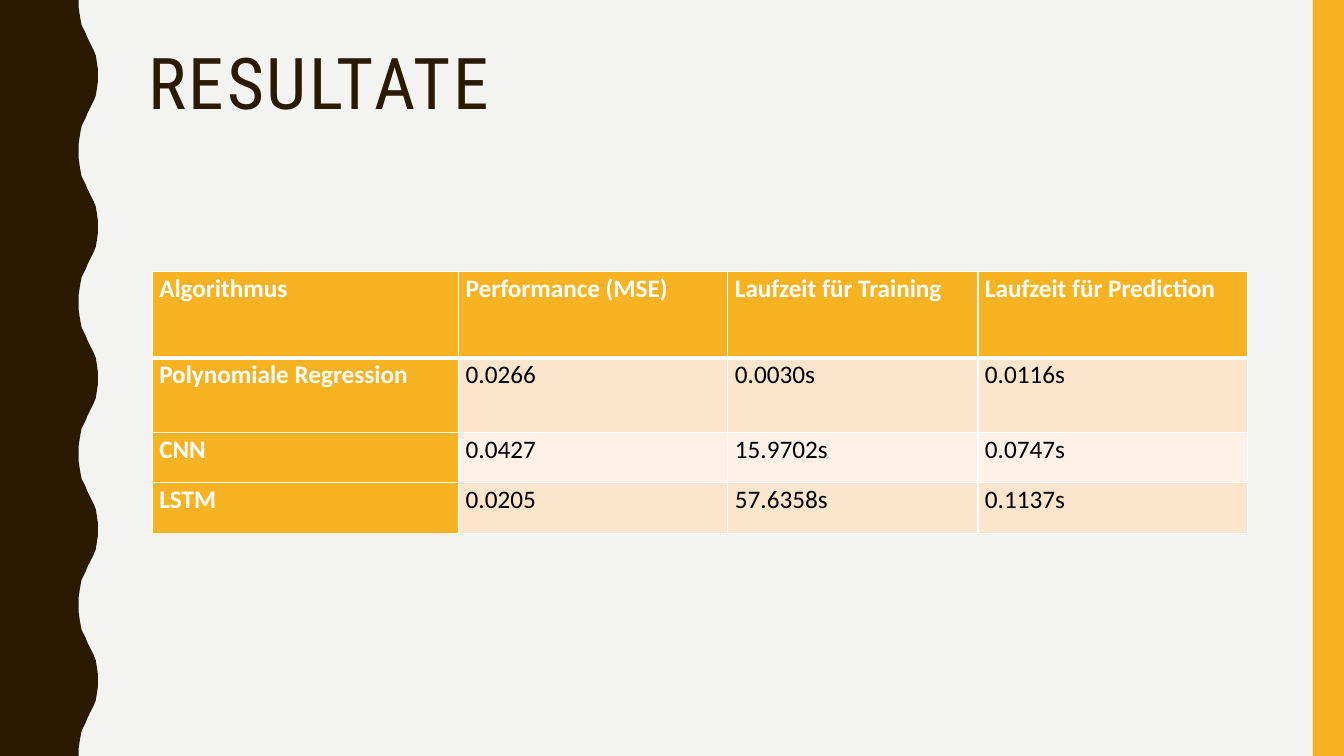
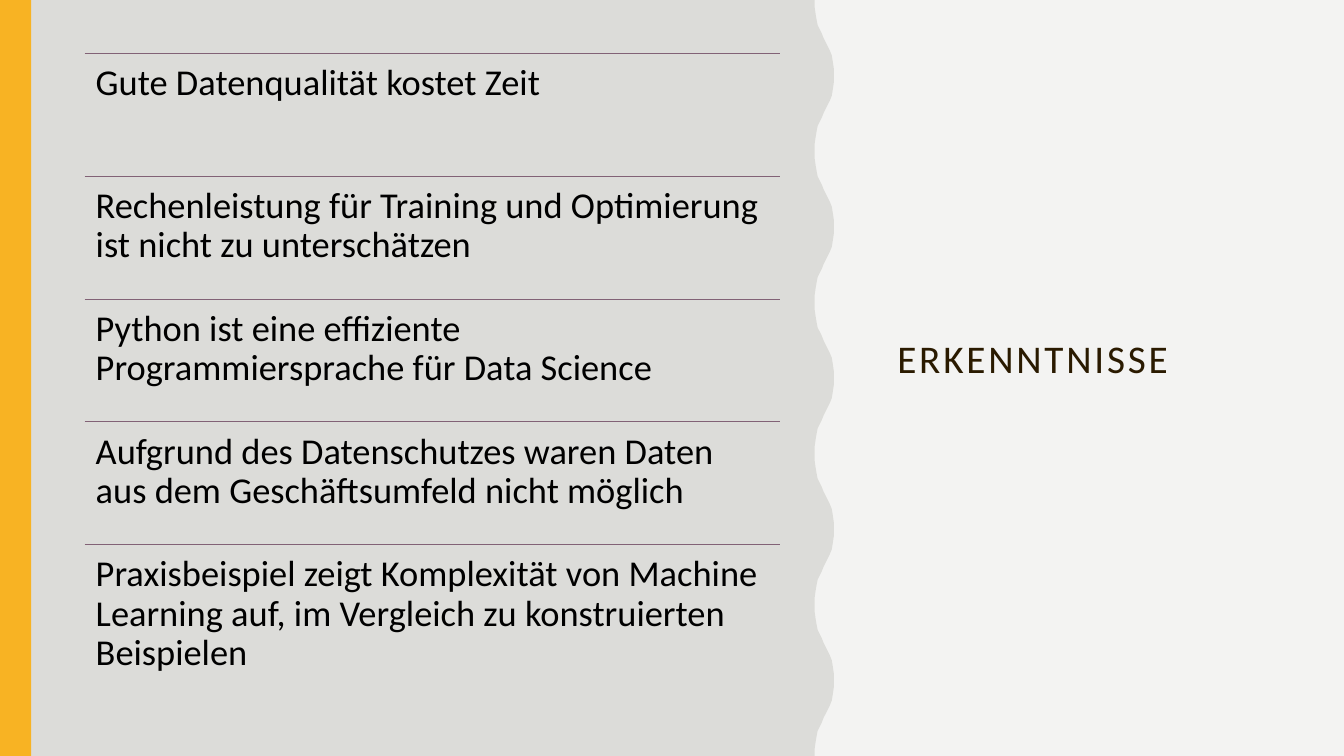
from dataclasses import dataclass

from lxml.etree import SubElement
from pptx import Presentation
from pptx.dml.color import RGBColor
from pptx.enum.shapes import MSO_CONNECTOR, MSO_SHAPE
from pptx.enum.text import MSO_ANCHOR, MSO_AUTO_SIZE, PP_ALIGN
from pptx.oxml.ns import qn
from pptx.slide import Slide
from pptx.table import _Cell
from pptx.text.text import TextFrame
from pptx.util import Inches, Pt

SLIDE_WIDTH, SLIDE_HEIGHT = 13.33, 7.5
BAND_WIDTH = 0.31
BACKGROUND, DARK, ACCENT, PANEL = "F3F3F2", "2A1A00", "F8B323", "DCDCD9"
RULE, WHITE, BLACK = "826276", "FFFFFF", "000000"
ROW_TINTS = ("FCE5CD", "FEF2E8")
BODY_FONT, TITLE_FONT = "Calibri", "Roboto Condensed"

WAVE_PERIOD = 1.5
WAVE_RISE = (
    (0, 0), (0, 0.07), (0.01, 0.14), (0.02, 0.2), (0.03, 0.25),
    (0.05, 0.29), (0.07, 0.33), (0.09, 0.38), (0.11, 0.42), (0.13, 0.46),
    (0.15, 0.5), (0.17, 0.55), (0.18, 0.61), (0.19, 0.68), (0.19, 0.75),
)
WAVE_FALL = tuple((x, WAVE_PERIOD - y) for x, y in reversed(WAVE_RISE[:-1]))


@dataclass(frozen=True)
class Box:
    left: float
    top: float
    width: float
    height: float

    def lengths(self) -> tuple:
        return tuple(Inches(value) for value in (self.left, self.top, self.width, self.height))


@dataclass(frozen=True)
class SlideStyle:
    title: str
    title_box: Box
    title_size: float
    title_font: str
    title_anchor: MSO_ANCHOR
    wave_left: float
    wave_color: str
    band_left: float


RESULTS = SlideStyle("RESULTATE", Box(1.37, 0.42, 11.13, 1.63), 51, TITLE_FONT,
                     MSO_ANCHOR.TOP, 0.78, DARK, SLIDE_WIDTH - BAND_WIDTH)
FINDINGS = SlideStyle("ERKENNTNISSE", Box(8.8, 0.53, 4, 6.09), 28, BODY_FONT,
                      MSO_ANCHOR.MIDDLE, 8.08, PANEL, 0)

TABLE_BOX = Box(1.51, 2.69, 10.86, 2.6)
COLUMN_WIDTHS = (3.04, 2.67, 2.48, 2.67)
ROW_HEIGHTS = (0.86, 0.74, 0.5, 0.5)
TABLE_ROWS = (
    ("Algorithmus", "Performance (MSE)", "Laufzeit für Training", "Laufzeit für Prediction"),
    ("Polynomiale Regression", "0.0266", "0.0030s", "0.0116s"),
    ("CNN", "0.0427", "15.9702s", "0.0747s"),
    ("LSTM", "0.0205", "57.6358s", "0.1137s"),
)

LIST_BOX = Box(0.84, 0.53, 6.9, 6.09)
FINDING_TEXTS = (
    "Gute Datenqualität kostet Zeit",
    "Rechenleistung für Training und Optimierung ist nicht zu unterschätzen",
    "Python ist eine effiziente Programmiersprache für Data Science",
    "Aufgrund des Datenschutzes waren Daten aus dem Geschäftsumfeld nicht möglich",
    "Praxisbeispiel zeigt Komplexität von Machine Learning auf, "
    "im Vergleich zu konstruierten Beispielen",
)


def color(value: str) -> RGBColor:
    return RGBColor.from_string(value)


def write_text(frame: TextFrame, text: str, *, size: float, font: str = BODY_FONT,
               text_color: str = BLACK, bold: bool = False, line_spacing: float = 0.9,
               align: PP_ALIGN = PP_ALIGN.LEFT, tracking: float = 0) -> None:
    paragraph = frame.paragraphs[0]
    paragraph.alignment = align
    paragraph.line_spacing = line_spacing
    run = paragraph.add_run()
    run.text = text
    run.font.size = Pt(size)
    run.font.name = font
    run.font.bold = bold
    run.font.color.rgb = color(text_color)
    if tracking:
        run.font._element.set("spc", str(round(tracking * 100)))


def paint(shape, fill: str) -> None:
    shape.shadow.inherit = False
    shape.fill.solid()
    shape.fill.fore_color.rgb = color(fill)
    shape.line.fill.background()


def add_wave(slide: Slide, left: float, fill: str) -> None:
    points = [
        (left + x, cycle * WAVE_PERIOD + y)
        for cycle in range(round(SLIDE_HEIGHT / WAVE_PERIOD))
        for x, y in WAVE_RISE + WAVE_FALL
    ]
    points.append((0, SLIDE_HEIGHT))
    builder = slide.shapes.build_freeform(0, 0)
    builder.add_line_segments([(Inches(x), Inches(y)) for x, y in points], close=True)
    paint(builder.convert_to_shape(), fill)


def add_styled_slide(presentation: Presentation, style: SlideStyle) -> Slide:
    slide = presentation.slides.add_slide(presentation.slide_layouts.get_by_name("Title Only"))
    add_wave(slide, style.wave_left, style.wave_color)
    band_box = Box(style.band_left, 0, BAND_WIDTH, SLIDE_HEIGHT)
    paint(slide.shapes.add_shape(MSO_SHAPE.RECTANGLE, *band_box.lengths()), ACCENT)
    title = slide.shapes.title
    title.left, title.top, title.width, title.height = style.title_box.lengths()
    frame = title.text_frame
    frame.auto_size = MSO_AUTO_SIZE.NONE
    frame.vertical_anchor = style.title_anchor
    write_text(frame, style.title, size=style.title_size, font=style.title_font,
               text_color=DARK, tracking=2)
    return slide


def add_borders(cell: _Cell, row: int) -> None:
    properties = cell._tc.get_or_add_tcPr()
    widths = {"L": 1, "R": 1, "T": 3 if row == 1 else 1, "B": 3 if row == 0 else 1}
    for side, width in widths.items():
        line = SubElement(properties, qn(f"a:ln{side}"), w=str(Pt(width)))
        fill = SubElement(line, qn("a:solidFill"))
        SubElement(fill, qn("a:srgbClr"), val=WHITE)


def fill_cell(cell: _Cell, text: str, row: int, column: int) -> None:
    heading = row == 0 or column == 0
    add_borders(cell, row)
    cell.fill.solid()
    cell.fill.fore_color.rgb = color(ACCENT if heading else ROW_TINTS[(row - 1) % 2])
    cell.margin_left = cell.margin_right = Inches(0.07)
    cell.margin_top = cell.margin_bottom = 0
    write_text(cell.text_frame, text, size=18, bold=heading, line_spacing=1.07,
               text_color=WHITE if heading else BLACK,
               align=PP_ALIGN.JUSTIFY if row else PP_ALIGN.LEFT)


def add_results_table(slide: Slide) -> None:
    table = slide.shapes.add_table(
        len(ROW_HEIGHTS), len(COLUMN_WIDTHS), *TABLE_BOX.lengths()).table
    table.first_row = table.horz_banding = False
    for column, width in zip(table.columns, COLUMN_WIDTHS):
        column.width = Inches(width)
    for row, height in zip(table.rows, ROW_HEIGHTS):
        row.height = Inches(height)
    for row_index, texts in enumerate(TABLE_ROWS):
        for column_index, text in enumerate(texts):
            fill_cell(table.cell(row_index, column_index), text, row_index, column_index)


def add_finding(slide: Slide, text: str, box: Box) -> None:
    left, top, width, height = box.lengths()
    rule = slide.shapes.add_connector(MSO_CONNECTOR.STRAIGHT, left, top, left + width, top)
    rule.line.color.rgb = color(RULE)
    rule.line.width = Pt(0.5)
    SubElement(rule._element.spPr, qn("a:effectLst"))
    frame = slide.shapes.add_textbox(left, top, width, height).text_frame
    frame.word_wrap = True
    frame.margin_left = frame.margin_right = Inches(0.11)
    frame.margin_top = frame.margin_bottom = Inches(0.11)
    write_text(frame, text, size=26)


def add_findings(slide: Slide) -> None:
    step = LIST_BOX.height / len(FINDING_TEXTS)
    for index, text in enumerate(FINDING_TEXTS):
        top = LIST_BOX.top + index * step
        add_finding(slide, text, Box(LIST_BOX.left, top, LIST_BOX.width, step))


def main() -> None:
    presentation = Presentation()
    presentation.slide_width = Inches(SLIDE_WIDTH)
    presentation.slide_height = Inches(SLIDE_HEIGHT)
    background = presentation.slide_master.background.fill
    background.solid()
    background.fore_color.rgb = color(BACKGROUND)
    add_results_table(add_styled_slide(presentation, RESULTS))
    add_findings(add_styled_slide(presentation, FINDINGS))
    presentation.save("out.pptx")


main()
